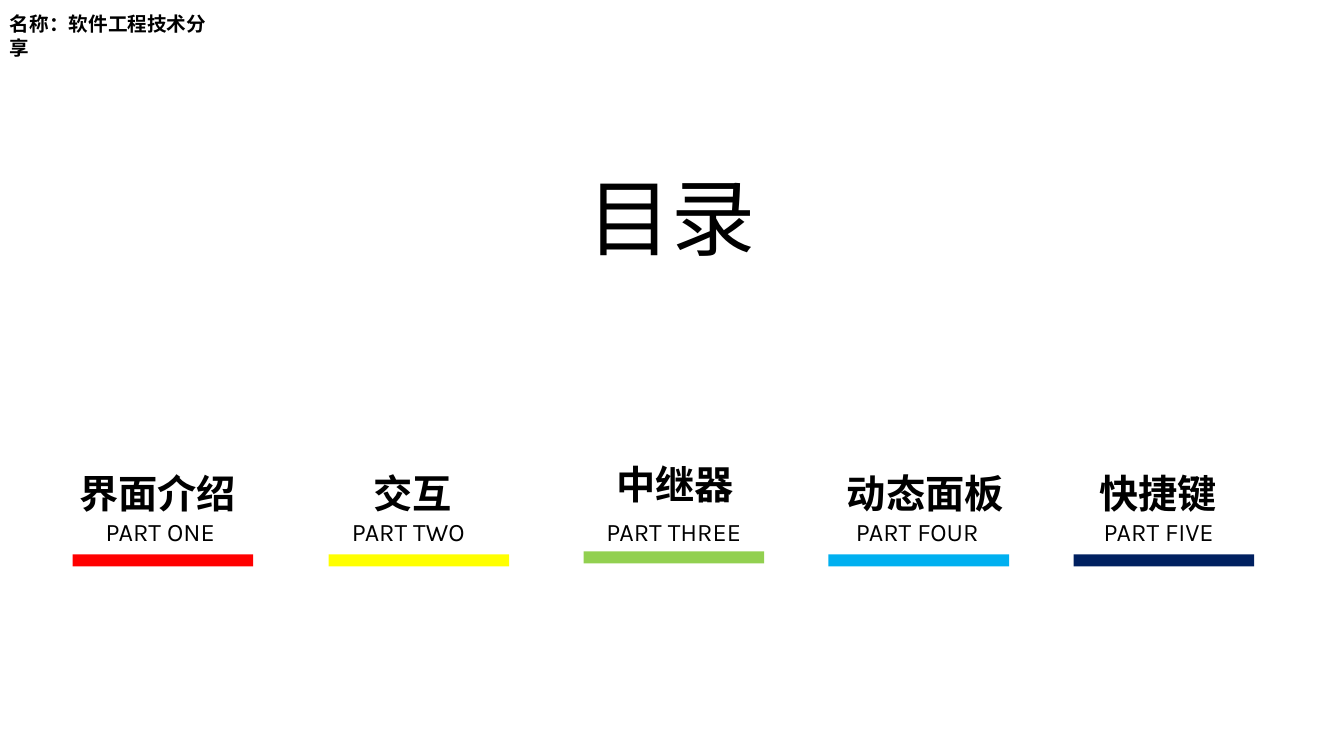
"""Builds a contents slide with five coloured parts."""
from pptx import Presentation
from pptx.dml.color import RGBColor
from pptx.enum.shapes import MSO_SHAPE
from pptx.enum.text import MSO_ANCHOR, MSO_AUTO_SIZE, PP_ALIGN
from pptx.util import Pt

COLORS = {
    "ink": "000000",
    "red": "FF0000",
    "yellow": "FFFF00",
    "green": "92D050",
    "sky": "00B0F0",
    "navy": "002060",
}
FONT = "Karla"
NAME_Y, LABEL_Y, BAR_Y = 321.8, 358.6, 396
BAR_W, BAR_H = 129, 8.6

# name, name x, name width, label, label x, label width, bar x, color, name lift, bar lift
PARTS = [
    ("界面介绍", 28, 169.2, "PART ONE", 56.9, 115.2, 51.8, "red", 0, 0),
    ("交互", 225.4, 138.2, "PART TWO", 229, 125.3, 234.7, "yellow", 0, 0),
    ("中继器", 413.3, 138.2, "PART THREE", 414, 134.6, 416.9, "green", 6.5, 2.2),
    ("动态面板", 591.8, 138.2, "PART FOUR", 599.8, 110.9, 591.8, "sky", 0, 0),
    ("快捷键", 758.2, 138.2, "PART FIVE", 779.8, 95.8, 766.8, "navy", 0, 0),
]


def color(name):
    return RGBColor.from_string(COLORS[name])


def write(shape, text, size, bold=False, align=PP_ALIGN.CENTER, space=1.0, wrap=True):
    frame = shape.text_frame
    frame.word_wrap = wrap
    frame.auto_size = MSO_AUTO_SIZE.NONE
    frame.vertical_anchor = MSO_ANCHOR.TOP
    para = frame.paragraphs[0]
    para.alignment = align
    para.line_spacing = space
    run = para.add_run()
    run.text = text
    run.font.name = FONT
    run.font.size = Pt(size)
    run.font.bold = bold
    run.font.color.rgb = color("ink")


def add_text(slide, box, text, size, **form):
    shape = slide.shapes.add_textbox(*map(Pt, box))
    write(shape, text, size, **form)


def add_title(slide, box, text, size):
    title = slide.shapes.title
    title.left, title.top, title.width, title.height = map(Pt, box)
    write(title, text, size, wrap=False)


def add_bar(slide, left, top, fill):
    bar = slide.shapes.add_shape(
        MSO_SHAPE.RECTANGLE, Pt(left), Pt(top), Pt(BAR_W), Pt(BAR_H))
    bar.shadow.inherit = False
    bar.fill.solid()
    bar.fill.fore_color.rgb = color(fill)
    bar.line.fill.background()


def add_part(slide, name, name_x, name_w, label, label_x, label_w,
             bar_x, fill, name_up, bar_up):
    add_text(slide, (label_x, LABEL_Y, label_w, 35.3), label, 18, space=1.3)
    add_text(slide, (name_x, NAME_Y - name_up, name_w, 51.1), name, 28,
             bold=True, space=1.3)
    add_bar(slide, bar_x, BAR_Y - bar_up, fill)


def main():
    deck = Presentation()
    deck.slide_width, deck.slide_height = Pt(960), Pt(540)
    slide = deck.slides.add_slide(deck.slide_layouts[5])
    add_title(slide, (412.6, 114.5, 134.6, 108.7), "目录", 60)
    for part in PARTS:
        add_part(slide, *part)
    add_text(slide, (0, 5, 168, 24.5), "名称：软件工程技术分享", 14,
             bold=True, align=PP_ALIGN.LEFT)
    deck.save("out.pptx")


if __name__ == "__main__":
    main()
